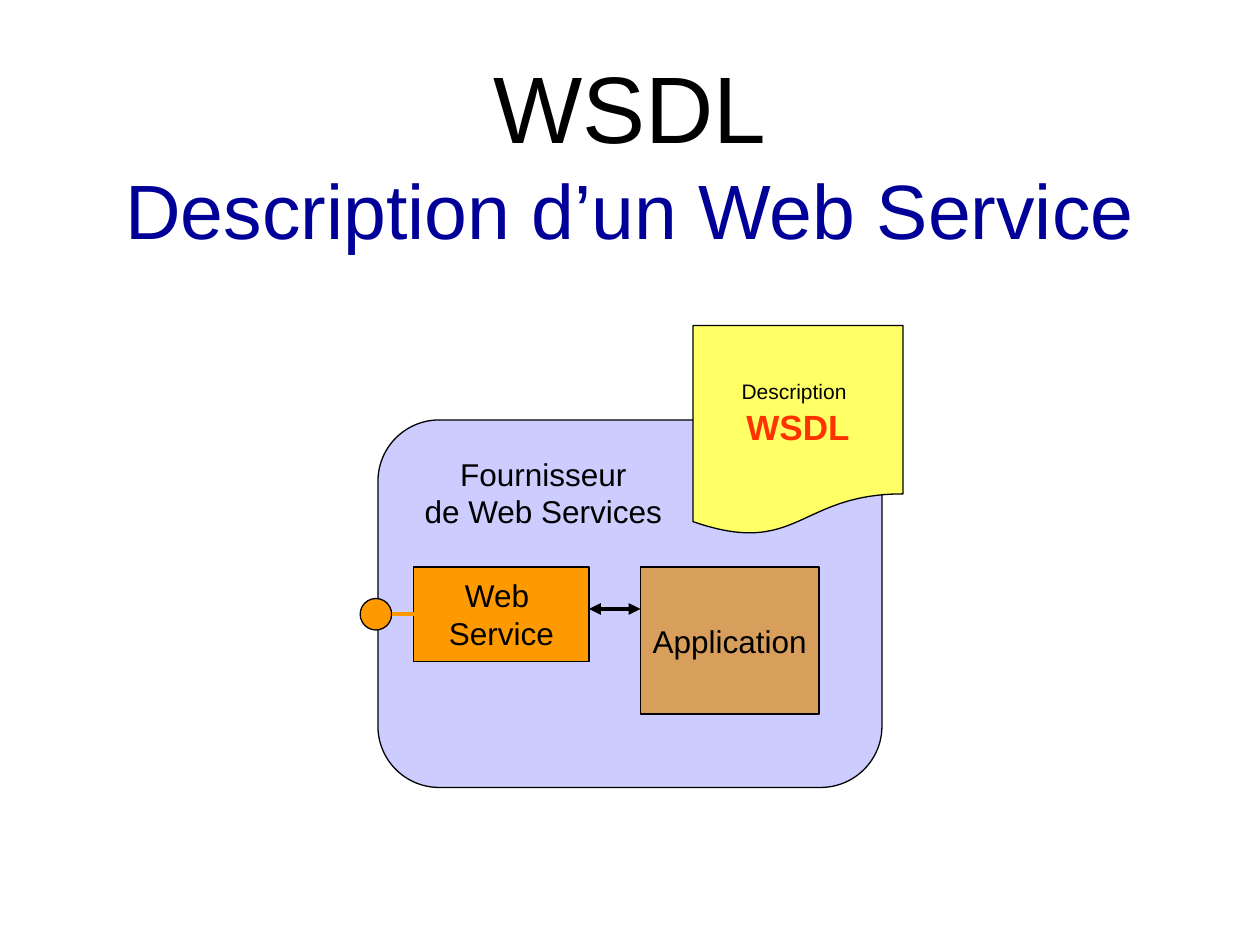
import dataclasses

import pptx
import pptx.util
import pptx.dml.color
import pptx.enum.shapes
import pptx.enum.text
import pptx.oxml

SHAPE = pptx.enum.shapes.MSO_SHAPE
ANCHOR = pptx.enum.text.MSO_ANCHOR
CENTER = pptx.enum.text.PP_ALIGN.CENTER
NS = 'xmlns:a="http://schemas.openxmlformats.org/drawingml/2006/main"'


@dataclasses.dataclass(frozen=True)
class Theme:
    font: str = "Arial"
    ink: str = "000000"
    blue: str = "000099"
    red: str = "FF3300"
    lilac: str = "CCCCFF"
    orange: str = "FF9900"
    brown: str = "D79F5B"
    yellow: str = "FFFF66"
    head: int = 54
    sub: int = 44
    body: int = 18
    note: int = 12
    gap: int = 16
    key: int = 20
    thin: float = 0.75
    thick: float = 2.25


THEME = Theme()


def px(count):
    """Turn px, 120 to the inch, into EMU."""
    return pptx.util.Emu(count * 7620)


def rgb(code):
    return pptx.dml.color.RGBColor.from_string(code)


def style(font, size, color=THEME.ink, bold=False):
    font.name = THEME.font
    font.size = pptx.util.Pt(size)
    font.color.rgb = rgb(color)
    font.bold = bold


def add_run(para, text, size, color=THEME.ink):
    run = para.add_run()
    run.text = text
    style(run.font, size, color)


def add_part(slide, kind, left, top, width, height, fill):
    part = slide.shapes.add_shape(kind, px(left), px(top), px(width), px(height))
    part.shadow.inherit = False
    part.fill.solid()
    part.fill.fore_color.rgb = rgb(fill)
    part.line.color.rgb = rgb(THEME.ink)
    part.line.width = pptx.util.Pt(THEME.thin)
    frame = part.text_frame
    frame.word_wrap = False
    frame.vertical_anchor = ANCHOR.MIDDLE
    return part


def label(part, *lines):
    frame = part.text_frame
    frame.text = "\n".join(lines)
    for para in frame.paragraphs:
        para.alignment = CENTER
        style(para.font, THEME.body)


def add_link(slide, start, end, y, color, heads=False):
    link = slide.shapes.add_connector(
        pptx.enum.shapes.MSO_CONNECTOR.STRAIGHT, px(start), px(y), px(end), px(y))
    link.line.color.rgb = rgb(color)
    link.line.width = pptx.util.Pt(THEME.thick)
    if heads:
        line = link.line._get_or_add_ln()
        for tag in ("headEnd", "tailEnd"):
            line.append(pptx.oxml.parse_xml(f'<a:{tag} {NS} type="triangle"/>'))
    link._element.spPr.append(pptx.oxml.parse_xml(f"<a:effectLst {NS}/>"))
    return link


def add_title(slide, left, top, width, height):
    title = slide.shapes.title
    title.left, title.top = px(left), px(top)
    title.width, title.height = px(width), px(height)
    frame = title.text_frame
    frame.auto_size = pptx.enum.text.MSO_AUTO_SIZE.NONE
    frame.vertical_anchor = ANCHOR.MIDDLE
    para = frame.paragraphs[0]
    para.alignment = CENTER
    add_run(para, "WSDL", THEME.head)
    para.add_line_break()
    add_run(para, "Description d’un Web Service", THEME.sub, THEME.blue)


def add_host(slide, left, top, width, height):
    """Draw the provider with its service, port and application."""
    host = add_part(slide, SHAPE.ROUNDED_RECTANGLE, left, top, width, height, THEME.lilac)
    label(host, "Fournisseur", "de Web Services")
    frame = host.text_frame
    frame.word_wrap = True
    frame.vertical_anchor = ANCHOR.TOP
    frame.margin_left, frame.margin_right, frame.margin_top = 0, px(165), px(16)

    row = top + 140
    web = add_part(slide, SHAPE.RECTANGLE, left + 34, row, 167, 90, THEME.orange)
    label(web, "Web \vService")
    add_part(slide, SHAPE.OVAL, left - 17, row + 30, 30, 30, THEME.orange)
    stem = add_link(slide, left + 13, left + 34, row + 45, THEME.orange)
    stem.end_connect(web, 1)

    app = add_part(slide, SHAPE.RECTANGLE, left + 250, row, 170, 140, THEME.brown)
    label(app, "Application")
    add_link(slide, left + 201, left + 250, row + 40, THEME.ink, heads=True)


def add_sheet(slide, left, top, width, height):
    sheet = add_part(slide, SHAPE.FLOWCHART_DOCUMENT, left, top, width, height, THEME.yellow)
    frame = sheet.text_frame
    para = frame.paragraphs[0]
    para.alignment = CENTER
    add_run(para, "Description", THEME.note)
    add_run(para, " ", THEME.gap)
    para = frame.add_paragraph()
    para.text = "WSDL"
    para.alignment = CENTER
    style(para.font, THEME.key, THEME.red, bold=True)


def main():
    deck = pptx.Presentation()
    deck.slide_width, deck.slide_height = px(1200), px(900)
    slide = deck.slides.add_slide(deck.slide_layouts[5])
    add_title(slide, 90, 70, 1020, 150)
    add_host(slide, 360, 400, 480, 350)
    add_sheet(slide, 660, 310, 200, 200)
    deck.save("out.pptx")


if __name__ == "__main__":
    main()
